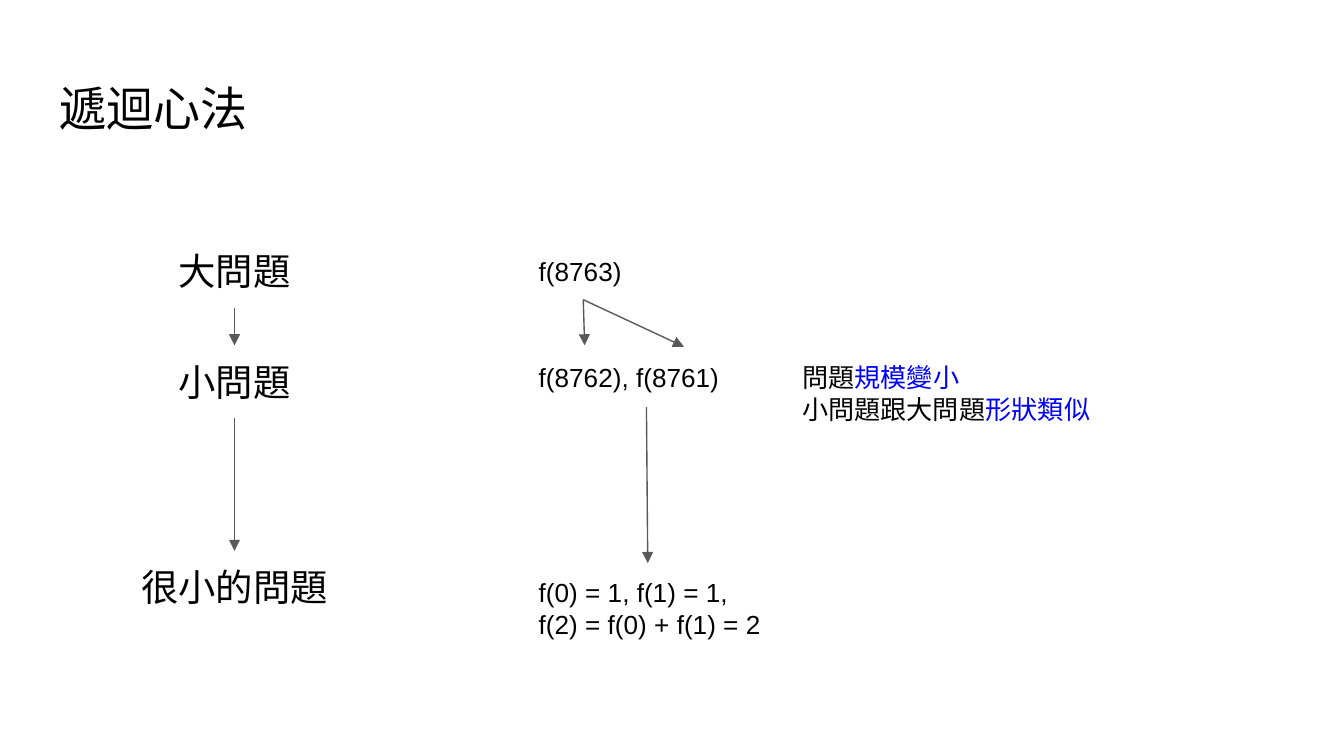
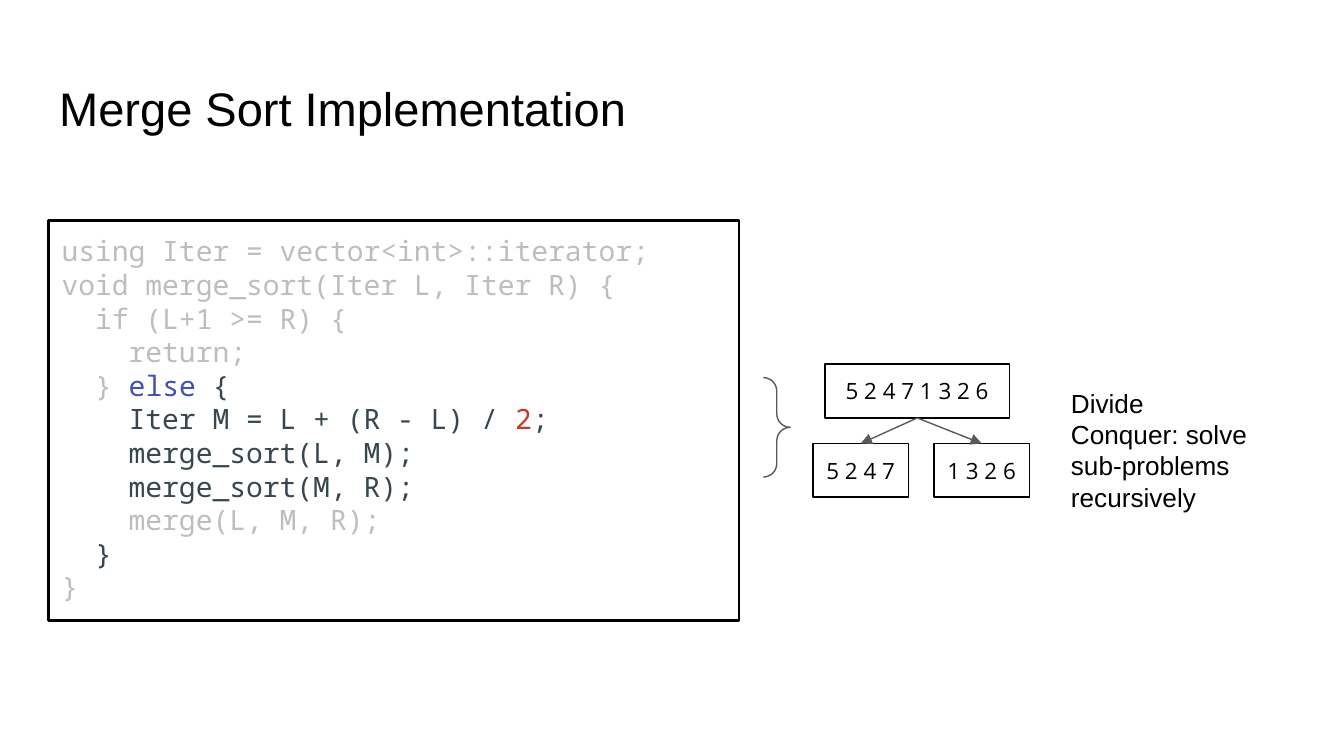
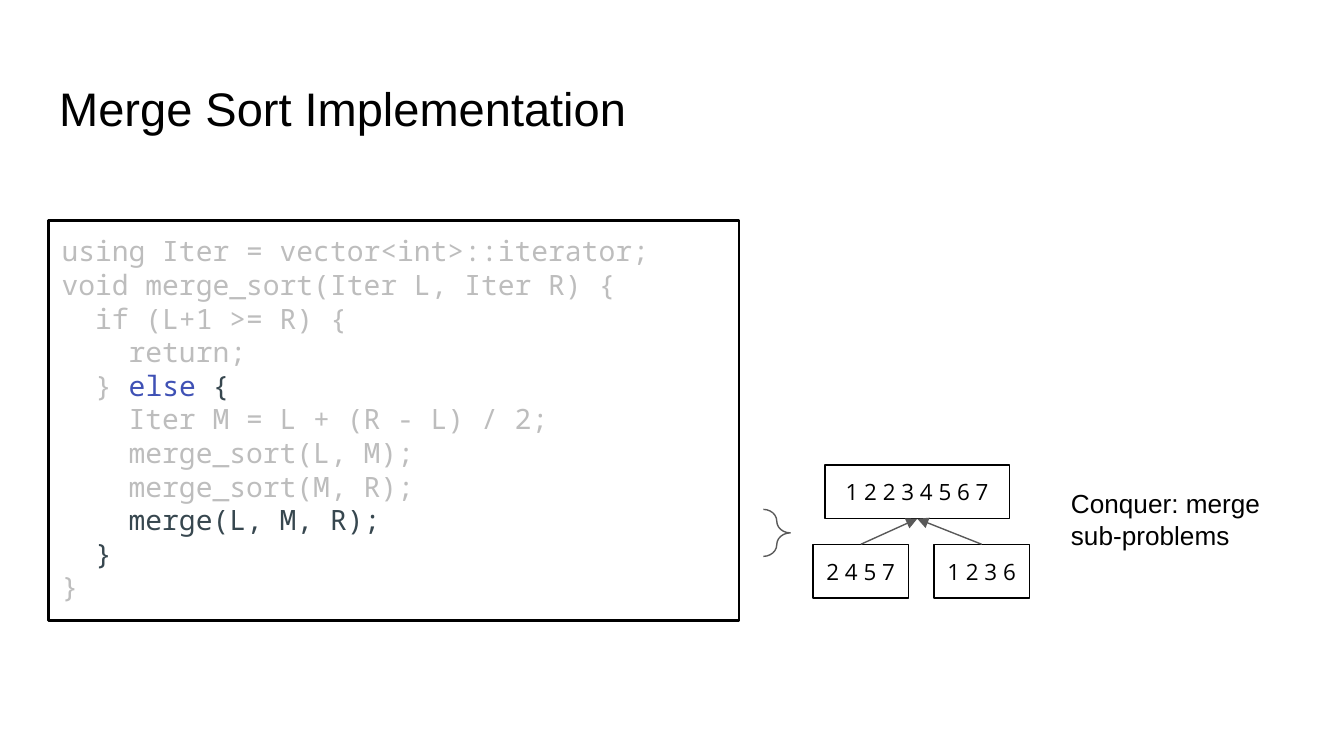
from pptx import Presentation
from pptx import util as u
from pptx.dml.color import RGBColor
from pptx.enum import shapes, text
from pptx.oxml import ns, xmlchemy

COLORS = {
    "ink": "000000",
    "line": "595959",
    "accent": "0000FF",
    "code": "37474F",
    "dim": "BDBDBD",
    "keyword": "3F51B5",
    "number": "C53929",
}
SANS, MONO, DIGITS = "Arial", "Noto Sans Mono", "Open Sans"
LEFT, CENTER = text.PP_ALIGN.LEFT, text.PP_ALIGN.CENTER
RECT = shapes.MSO_SHAPE.RECTANGLE
LEADING = 1.2

CODE = [
    [("using Iter = vector<int>::iterator;", "code")],
    [("void merge_sort(Iter L, Iter R) {", "code")],
    [("  if (L+1 >= R) {", "code")],
    [("    return;", "code")],
    [("  } ", "dim"), ("else", "keyword"), (" {", "code")],
    [("    Iter M = L + (R - L) / ", "code"), ("2", "number"), (";", "code")],
    [("    merge_sort(L, M);", "code")],
    [("    merge_sort(M, R);", "code")],
    [("    merge(L, M, R);", "code")],
    [("  }", "code")],
    [("}", "code")],
]


def rgb(name):
    return RGBColor.from_string(COLORS[name])


def inches(*values):
    return [u.Inches(v) for v in values]


def add_child(parent, tag, **attrs):
    el = xmlchemy.OxmlElement(tag)
    for key, value in attrs.items():
        el.set(key, value)
    parent.append(el)


def set_font(r, size, font, color):
    r.font.size, r.font.name = u.Pt(size), font
    r.font.color.rgb = rgb(color)
    add_child(r._r.get_or_add_rPr(), "a:ea", typeface=font)


def set_frame(tf, wrap=True):
    tf.word_wrap = wrap
    tf.auto_size = text.MSO_AUTO_SIZE.NONE
    tf.vertical_anchor = text.MSO_ANCHOR.TOP
    tf.margin_left = tf.margin_right = tf.margin_top = tf.margin_bottom = u.Inches(0.1)


def write(sp, lines, size, font=SANS, align=LEFT, wrap=True):
    """Fill a shape with lines, each a string or a list of (text, color) runs."""
    tf = sp.text_frame
    set_frame(tf, wrap)
    for i, line in enumerate(lines):
        p = tf.paragraphs[0] if i == 0 else tf.add_paragraph()
        p.alignment = align
        p.line_spacing = u.Pt(size * LEADING)
        for words, color in [(line, "ink")] if isinstance(line, str) else line:
            r = p.add_run()
            r.text = words
            set_font(r, size, font, color)


def add_text(s, box, lines, size=14, align=LEFT):
    sp = s.shapes.add_textbox(*inches(*box))
    write(sp, lines, size, align=align)
    return sp


def add_outline(s, kind, box, color="ink", width=0.75):
    sp = s.shapes.add_shape(kind, *inches(*box))
    sp.shadow.inherit = False
    sp.fill.background()
    sp.line.color.rgb = rgb(color)
    sp.line.width = u.Pt(width)
    return sp


def add_arrow(s, start=(0, 0), end=(0, 0)):
    cx = s.shapes.add_connector(shapes.MSO_CONNECTOR.STRAIGHT, *inches(*start, *end))
    cx.line.color.rgb = rgb("line")
    cx.line.width = u.Pt(0.75)
    add_child(cx.line._get_or_add_ln(), "a:tailEnd", type="triangle")
    add_child(cx._element.find(ns.qn("p:spPr")), "a:effectLst")
    return cx


def link(s, source, target, source_site, target_site):
    cx = add_arrow(s)
    cx.begin_connect(source, source_site)
    cx.end_connect(target, target_site)


def new_slide(prs, title):
    s = prs.slides.add_slide(prs.slide_layouts[5])
    sp = s.shapes.title
    sp.left, sp.top, sp.width, sp.height = inches(0.34, 0.49, 9.32, 0.63)
    tf = sp.text_frame
    tf.text = title
    set_frame(tf)
    p = tf.paragraphs[0]
    p.alignment = LEFT
    set_font(p.runs[0], 25.2, SANS, "ink")
    return s


def problem_chain(s, x, y):
    steps = [("大問題", 0), ("小問題", 0.82), ("很小的問題", 2.35)]
    labels = [add_text(s, (x, y + dy, 1.69, 0.54), [label], 20, CENTER)
              for label, dy in steps]
    for upper, lower in zip(labels, labels[1:]):
        link(s, upper, lower, 2, 0)


def fibonacci_example(s, x, y):
    add_text(s, (x, y, 0.86, 0.44), ["f(8763)"])
    add_text(s, (x, y + 0.79, 1.8, 0.44), ["f(8762), f(8761)"])
    add_text(s, (x, y + 2.39, 2.48, 0.67),
             ["f(0) = 1, f(1) = 1,", "f(2) = f(0) + f(1) = 2"])
    call = (x + 0.43, y + 0.43)
    add_arrow(s, call, (x + 0.44, y + 0.77))
    add_arrow(s, call, (x + 1.18, y + 0.78))
    add_arrow(s, (x + 0.9, y + 1.23), (x + 0.91, y + 2.39))
    add_text(s, (x + 1.96, y + 0.79, 2.86, 0.67), [
        [("問題", "ink"), ("規模變小", "accent")],
        [("小問題跟大問題", "ink"), ("形狀類似", "accent")],
    ])


def code_box(s, x, y, lit):
    """Show the code with every line outside the lit indexes dimmed."""
    lines = [[(words, color if i in lit else "dim") for words, color in line]
             for i, line in enumerate(CODE)]
    sp = add_outline(s, RECT, (x, y, 5.14, 2.98), width=1.5)
    write(sp, lines, 15, MONO)


def array_tree(s, x, y, whole, halves, merging):
    """Draw an array above its halves; arrows point up when merging."""
    group = s.shapes.add_group_shape()
    root = add_outline(group, RECT, (x + 0.09, y, 1.37, 0.4))
    write(root, [whole], 12, DIGITS, CENTER)
    for i, half in enumerate(halves):
        sp = add_outline(group, RECT, (x + 0.9 * i, y + 0.59, 0.71, 0.4))
        write(sp, [half], 12, DIGITS, wrap=False)
        if merging:
            link(group, sp, root, 0, 2)
        else:
            link(group, root, sp, 2, 0)


def merge_sort_slide(prs, lit, brace, tree_top, whole, halves, note, note_height, merging):
    s = new_slide(prs, "Merge Sort Implementation")
    code_box(s, 0.36, 1.64, lit)
    brace_top, brace_height = brace
    add_outline(s, shapes.MSO_SHAPE.RIGHT_BRACE,
                (5.68, brace_top, 0.2, brace_height), "line").adjustments[0] = 0.5
    array_tree(s, 6.05, tree_top, whole, halves, merging)
    add_text(s, (7.87, tree_top + 0.07, 1.86, note_height), note)


def recursion_slide(prs):
    s = new_slide(prs, "遞迴心法")
    problem_chain(s, 0.9, 1.75)
    fibonacci_example(s, 3.91, 1.8)


def main():
    prs = Presentation()
    prs.slide_width = u.Inches(10)
    prs.slide_height = prs.slide_width * 9 // 16
    recursion_slide(prs)
    merge_sort_slide(
        prs, lit={4, 5, 6, 7, 9}, brace=(2.81, 0.74), tree_top=2.71,
        whole="5 2 4 7 1 3 2 6", halves=["5 2 4 7", "1 3 2 6"],
        note=["Divide", "Conquer: solve sub-problems recursively"],
        note_height=1.14, merging=False)
    merge_sort_slide(
        prs, lit={4, 8, 9}, brace=(3.79, 0.35), tree_top=3.46,
        whole="1 2 2 3 4 5 6 7", halves=["2 4 5 7", "1 2 3 6"],
        note=["Conquer: merge sub-problems"],
        note_height=0.67, merging=True)
    prs.save("out.pptx")


if __name__ == "__main__":
    main()
